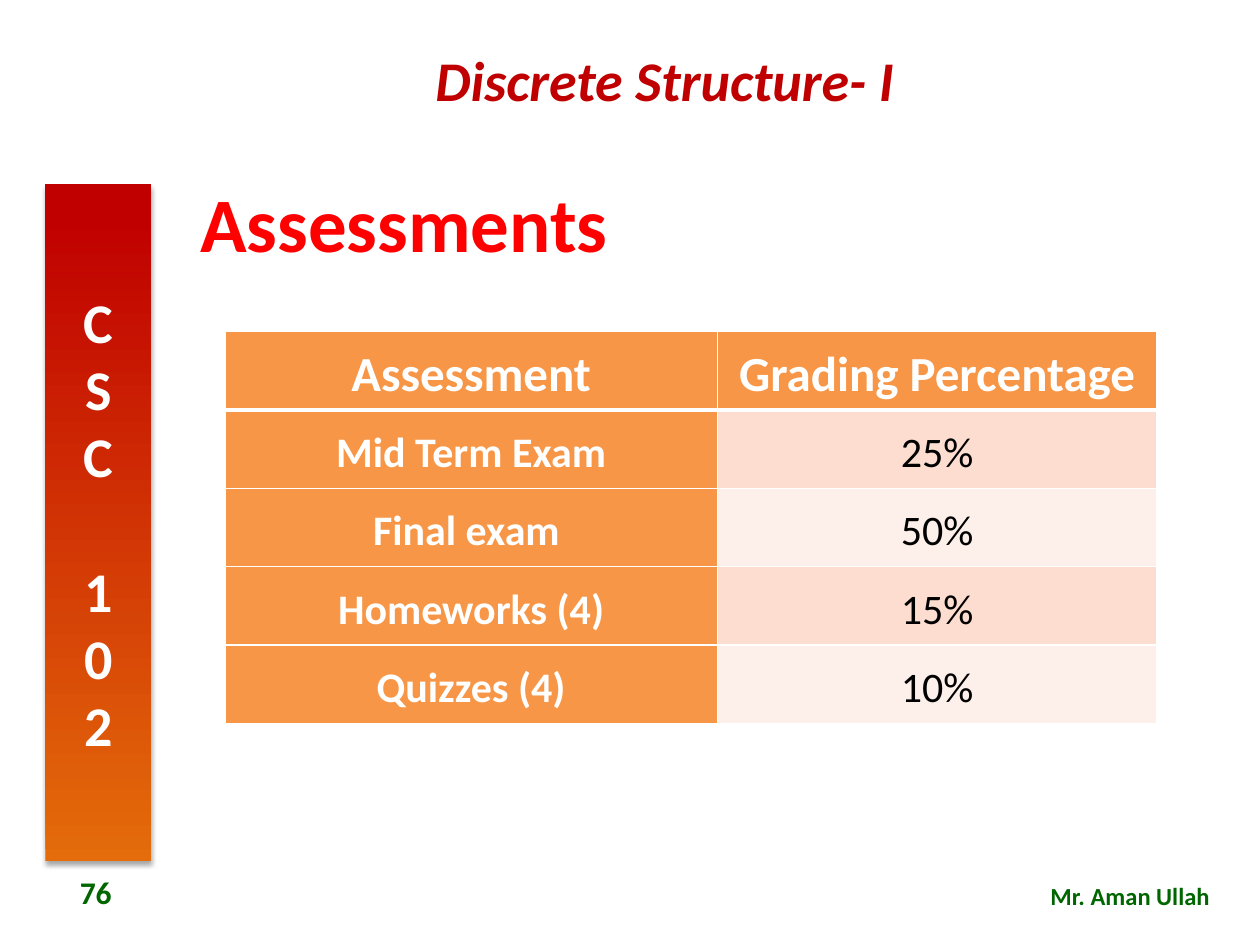
from dataclasses import dataclass

from lxml.etree import SubElement
from pptx import Presentation
from pptx.dml.color import RGBColor
from pptx.enum.shapes import MSO_SHAPE
from pptx.enum.text import MSO_ANCHOR, MSO_AUTO_SIZE, PP_ALIGN
from pptx.oxml.ns import qn
from pptx.util import Pt


@dataclass(frozen=True)
class Theme:
    font: str = "Calibri"
    white: str = "FFFFFF"
    black: str = "000000"
    red: str = "FF0000"
    wine: str = "C00000"
    rust: str = "E46C0A"
    green: str = "006600"
    amber: str = "F79646"
    bands: tuple = ("FCDDCF", "FDEFE9")
    title: int = 44
    label: int = 32
    head: int = 28
    body: int = 24
    page: int = 18
    foot: int = 14


THEME = Theme()
ROWS = [
    ("Assessment", "Grading Percentage"),
    ("Mid Term Exam", "25%"),
    ("Final exam ", "50%"),
    ("Homeworks (4)", "15%"),
    ("Quizzes (4)", "10%"),
]


def paint(fill, color):
    fill.solid()
    fill.fore_color.rgb = RGBColor.from_string(color)


def write(frame, text, size, color, align, bold=True, italic=False):
    """Add one run to the first paragraph of a frame."""
    para = frame.paragraphs[0]
    para.alignment = align
    run = para.add_run()
    run.text = text
    font = run.font
    font.name, font.size = THEME.font, Pt(size)
    font.bold, font.italic = bold, italic
    font.color.rgb = RGBColor.from_string(color)
    return para


def add_text(slide, box, text, size, color, align, italic=False):
    frame = slide.shapes.add_textbox(*map(Pt, box)).text_frame
    frame.word_wrap = True
    write(frame, text, size, color, align, italic=italic)
    return frame


def add_title(slide, box, text):
    title = slide.shapes.title
    title.left, title.top, title.width, title.height = map(Pt, box)
    frame = title.text_frame
    frame.auto_size = MSO_AUTO_SIZE.NONE
    frame.vertical_anchor = MSO_ANCHOR.MIDDLE
    para = write(frame, text, THEME.title, THEME.red, PP_ALIGN.LEFT)
    para.line_spacing = 0.9


def add_shade(shape):
    """Give a shape a soft shadow straight below it."""
    shape.shadow.inherit = False
    effects = shape.element.spPr.find(qn("a:effectLst"))
    shade = SubElement(effects, qn("a:outerShdw"), blurRad=str(Pt(3.1)),
                       dist=str(Pt(1.8)), dir="5400000", rotWithShape="0")
    color = SubElement(shade, qn("a:srgbClr"), val=THEME.black)
    SubElement(color, qn("a:alpha"), val="35000")


def add_bar(slide, box, text):
    bar = slide.shapes.add_shape(MSO_SHAPE.RECTANGLE, *map(Pt, box))
    bar.line.fill.background()
    bar.fill.gradient()
    bar.fill.gradient_angle = 90
    stops = ((0, THEME.rust), (0.95, THEME.wine))
    for stop, (place, color) in zip(bar.fill.gradient_stops, stops):
        stop.position = place
        stop.color.rgb = RGBColor.from_string(color)
    add_shade(bar)
    frame = bar.text_frame
    frame.vertical_anchor = MSO_ANCHOR.MIDDLE
    write(frame, text, THEME.label, THEME.white, PP_ALIGN.CENTER)
    # Stack the letters upright
    frame._txBody.bodyPr.set("vert", "wordArtVert")


def add_edge(cell, side, width):
    line = SubElement(cell._tc.get_or_add_tcPr(), qn(f"a:ln{side}"),
                      w=str(Pt(width)))
    fill = SubElement(line, qn("a:solidFill"))
    SubElement(fill, qn("a:srgbClr"), val=THEME.white)


def fill_cell(cell, text, row, col):
    head, side = row == 0, col == 0
    strong = head or side
    cell.margin_left = cell.margin_right = Pt(5)
    cell.margin_top = cell.margin_bottom = Pt(0)
    cell.vertical_anchor = MSO_ANCHOR.MIDDLE
    # A thick rule parts the header from the body
    for edge, width in (("L", 1), ("R", 1), ("T", 3 if row == 1 else 1),
                        ("B", 3 if head else 1)):
        add_edge(cell, edge, width)
    paint(cell.fill, THEME.amber if strong else THEME.bands[(row - 1) % 2])
    para = write(cell.text_frame, text, THEME.head if head else THEME.body,
                 THEME.white if strong else THEME.black,
                 PP_ALIGN.CENTER, bold=strong)
    para.line_spacing = 1.15


def add_grid(slide, left, top, widths, height, rows):
    frame = slide.shapes.add_table(len(rows), len(widths), Pt(left), Pt(top),
                                   Pt(sum(widths)), Pt(height * len(rows)))
    table = frame.table
    for col, width in enumerate(widths):
        table.columns[col].width = Pt(width)
    for row, texts in enumerate(rows):
        table.rows[row].height = Pt(height)
        for col, text in enumerate(texts):
            fill_cell(table.cell(row, col), text, row, col)


def main():
    deck = Presentation()
    deck.slide_width, deck.slide_height = Pt(720), Pt(540)
    slide = deck.slides.add_slide(deck.slide_layouts[5])

    # Course name and side bar
    add_text(slide, (152, 22.5, 456, 46), "Discrete Structure- I",
             THEME.label, THEME.wine, PP_ALIGN.CENTER, italic=True)
    add_bar(slide, (26, 105.4, 60.5, 386.6), "CSC 102")

    # Heading and grading table
    add_title(slide, (107.3, 98, 604, 64), "Assessments")
    add_grid(slide, 128.5, 189.5, (281.5, 251), 44.8, ROWS)

    # Footer
    add_text(slide, (489.6, 499.7, 208.8, 24.5), "Mr. Aman Ullah",
             THEME.foot, THEME.green, PP_ALIGN.RIGHT)
    page = add_text(slide, (17.3, 495.4, 74.9, 28.8), "76",
                    THEME.page, THEME.green, PP_ALIGN.CENTER)
    page.vertical_anchor = MSO_ANCHOR.MIDDLE

    deck.save("out.pptx")


if __name__ == "__main__":
    main()
